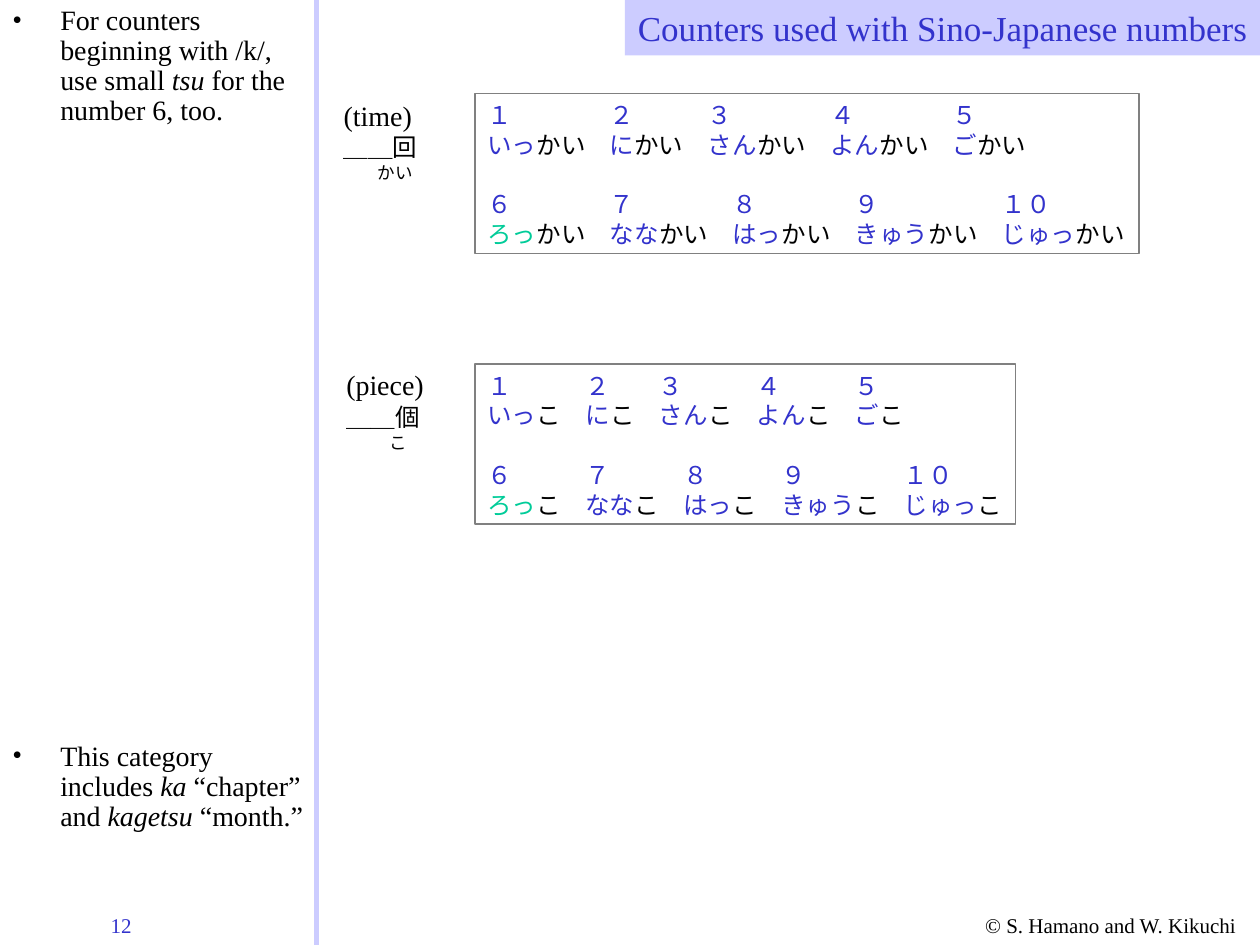
import dataclasses
import typing

import lxml.etree
import pptx
import pptx.dml.color
import pptx.enum.shapes
import pptx.enum.text
import pptx.oxml.ns
import pptx.util
from pptx.util import Inches, Pt

RGBColor = pptx.dml.color.RGBColor
BLACK = RGBColor(0x00, 0x00, 0x00)
BLUE = RGBColor(0x33, 0x33, 0xCC)
GREEN = RGBColor(0x00, 0xCC, 0x99)
GRAY = RGBColor(0x80, 0x80, 0x80)
LAVENDER = RGBColor(0xCC, 0xCC, 0xFF)

SERIF = "Times New Roman"
JAPANESE = "Noto Sans CJK JP"
KANA_SIZE = 14  # points, also the width of one kana
KANA_LINE = Pt(17)


@dataclasses.dataclass
class Run:
    text: str
    size: float = 16
    font: str = SERIF
    color: RGBColor = BLACK
    italic: bool = False


@dataclasses.dataclass
class Paragraph:
    runs: list[Run]
    line_spacing: typing.Any = None
    space_before: int = 0
    indent: float = 0
    bullet: bool = False
    tabs: tuple[float, ...] = ()
    alignment: typing.Any = pptx.enum.text.PP_ALIGN.LEFT


@dataclasses.dataclass
class Reading:
    numeral: str
    stem: str
    color: RGBColor = BLUE


@dataclasses.dataclass
class Counter:
    meaning: str
    kanji: str
    kana: str
    kana_indent: float
    label_left: float
    label_top: float
    panel_top: float
    panel_width: float


READINGS = [
    [Reading("１", "いっ"), Reading("２", "に"), Reading("３", "さん"),
     Reading("４", "よん"), Reading("５", "ご")],
    [Reading("６", "ろっ", GREEN), Reading("７", "なな"), Reading("８", "はっ"),
     Reading("９", "きゅう"), Reading("１０", "じゅっ")],
]
COUNTERS = [
    Counter("(time)", "回", "かい", 0.27, 2.63, 0.73, 0.74, 5.27),
    Counter("(piece)", "個", "こ", 0.34, 2.65, 2.87, 2.89, 4.29),
]


def add_child(parent, tag: str, **attributes: str):
    return lxml.etree.SubElement(parent, pptx.oxml.ns.qn(tag), **attributes)


def format_paragraph(paragraph, content: Paragraph) -> None:
    properties = paragraph._p.get_or_add_pPr()
    paragraph.alignment = content.alignment
    if content.line_spacing:
        paragraph.line_spacing = content.line_spacing
    if content.space_before:
        paragraph.space_before = content.space_before
    if content.indent:
        properties.set("marL", str(Inches(content.indent)))
    if content.bullet:
        properties.set("indent", str(-Inches(content.indent)))
        add_child(properties, "a:buFont", typeface=SERIF)
        add_child(properties, "a:buChar", char="•")
    if content.tabs:
        tab_list = add_child(properties, "a:tabLst")
        for position in content.tabs:
            add_child(tab_list, "a:tab", pos=str(Pt(position)), algn="l")


def add_text(slide, paragraphs: list[Paragraph], *, left: float, top: float,
             width: float, height: float, wrap: bool = True,
             fill: typing.Optional[RGBColor] = None,
             line: typing.Optional[RGBColor] = None):
    """Write paragraphs in a text box, or in a rectangle if filled or outlined."""
    box = (Inches(left), Inches(top), Inches(width), Inches(height))
    if fill is None and line is None:
        shape = slide.shapes.add_textbox(*box)
    else:
        shape = slide.shapes.add_shape(
            pptx.enum.shapes.MSO_SHAPE.RECTANGLE, *box)
        shape.shadow.inherit = False
        for part, color in ((shape.fill, fill), (shape.line.fill, line)):
            if color is None:
                part.background()
            else:
                part.solid()
                part.fore_color.rgb = color
        if line is not None:
            shape.line.width = Pt(0.75)
    frame = shape.text_frame
    frame.word_wrap = wrap
    frame.vertical_anchor = pptx.enum.text.MSO_ANCHOR.TOP
    for index, content in enumerate(paragraphs):
        paragraph = frame.add_paragraph() if index else frame.paragraphs[0]
        format_paragraph(paragraph, content)
        for item in content.runs:
            run = paragraph.add_run()
            run.text = item.text
            run.font.size = Pt(item.size)
            run.font.name = item.font
            run.font.italic = item.italic
            run.font.color.rgb = item.color
            if item.font == JAPANESE:
                add_child(run.font._element, "a:ea", typeface=JAPANESE)
    return shape


def reading_rows(counter: Counter) -> list[Paragraph]:
    """Pair each row of numerals with its readings, one kana apart."""
    paragraphs = []
    for row_index, row in enumerate(READINGS):
        tabs, position = [], 0
        numerals, readings = [], []
        for index, reading in enumerate(row):
            gap = "\t" if index else ""
            numerals.append(Run(gap + reading.numeral, KANA_SIZE, JAPANESE, BLUE))
            readings += [
                Run(gap + reading.stem, KANA_SIZE, JAPANESE, reading.color),
                Run(counter.kana, KANA_SIZE, JAPANESE),
            ]
            position += (len(reading.stem + counter.kana) + 1) * KANA_SIZE
            tabs.append(position)
        stops = tuple(tabs[:-1])
        paragraphs += [
            Paragraph(numerals, KANA_LINE, KANA_LINE * row_index, tabs=stops),
            Paragraph(readings, KANA_LINE, tabs=stops),
        ]
    return paragraphs


def add_counter(slide, counter: Counter) -> None:
    label = [
        Paragraph([Run(counter.meaning)]),
        Paragraph([Run("＿＿" + counter.kanji, KANA_SIZE, JAPANESE)], KANA_LINE),
        Paragraph([Run(counter.kana, 10, JAPANESE)], Pt(12.5),
                  indent=counter.kana_indent),
    ]
    add_text(slide, label, left=counter.label_left, top=counter.label_top,
             width=1.1, height=0.77)
    add_text(slide, reading_rows(counter), left=3.77, top=counter.panel_top,
             width=counter.panel_width, height=1.27, line=GRAY)


def add_note(slide, runs: list[Run], top: float, height: float) -> None:
    add_text(slide, [Paragraph(runs, 0.9, indent=0.38, bullet=True)],
             left=0, top=top, width=2.51, height=height)


def main() -> None:
    presentation = pptx.Presentation()
    presentation.slide_width = Inches(10)
    presentation.slide_height = Inches(7.5)
    slide = presentation.slides.add_slide(presentation.slide_layouts[6])

    # Footer
    add_text(slide, [Paragraph([Run("© S. Hamano and W. Kikuchi", 12)])],
             left=7.72, top=7.19, width=2.28, height=0.3)
    add_text(slide, [Paragraph([Run("12", 12, color=BLUE)])],
             left=0.78, top=7.19, width=0.89, height=0.3)

    # Divider between notes and counters
    divider = slide.shapes.add_connector(
        pptx.enum.shapes.MSO_CONNECTOR.STRAIGHT,
        Inches(2.51), Inches(0), Inches(2.51), Inches(7.5))
    divider.line.color.rgb = LAVENDER
    divider.line.width = Pt(3)
    add_child(divider._element.spPr, "a:effectLst")

    # Notes
    add_note(slide, [Run("For counters beginning with /k/, use small "),
                     Run("tsu", italic=True),
                     Run(" for the number 6, too.")], 0, 1.2)
    add_note(slide, [Run("This category includes "), Run("ka", italic=True),
                     Run(" “chapter” and "), Run("kagetsu", italic=True),
                     Run(" “month.”")], 5.84, 1.08)

    # Counters
    for counter in COUNTERS:
        add_counter(slide, counter)

    # Title
    title = Run("Counters used with Sino-Japanese numbers", 20, color=BLUE)
    add_text(slide, [Paragraph([title], alignment=pptx.enum.text.PP_ALIGN.RIGHT)],
             left=4.96, top=0, width=5.04, height=0.44, wrap=False, fill=LAVENDER)

    presentation.save("out.pptx")


if __name__ == "__main__":
    main()
